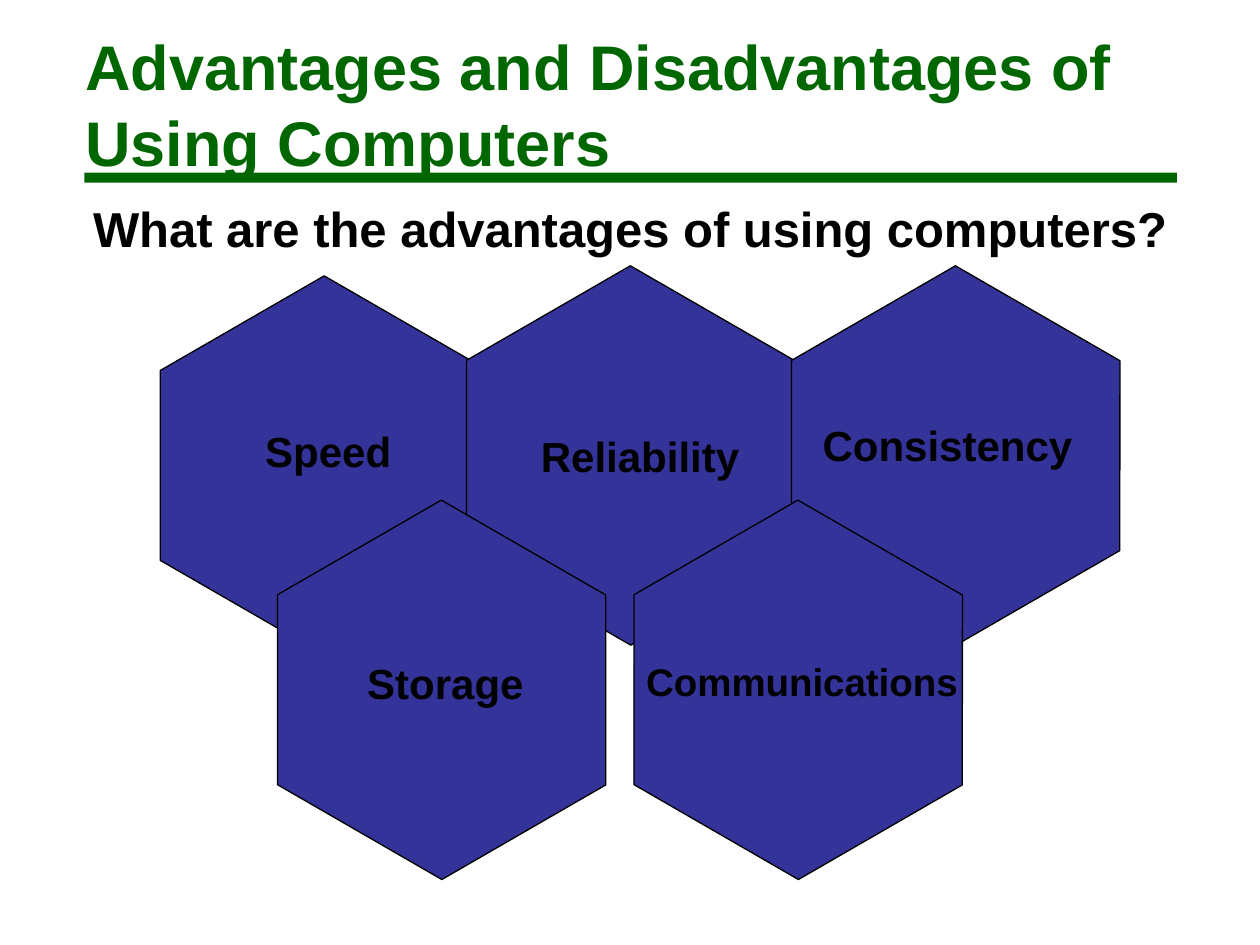
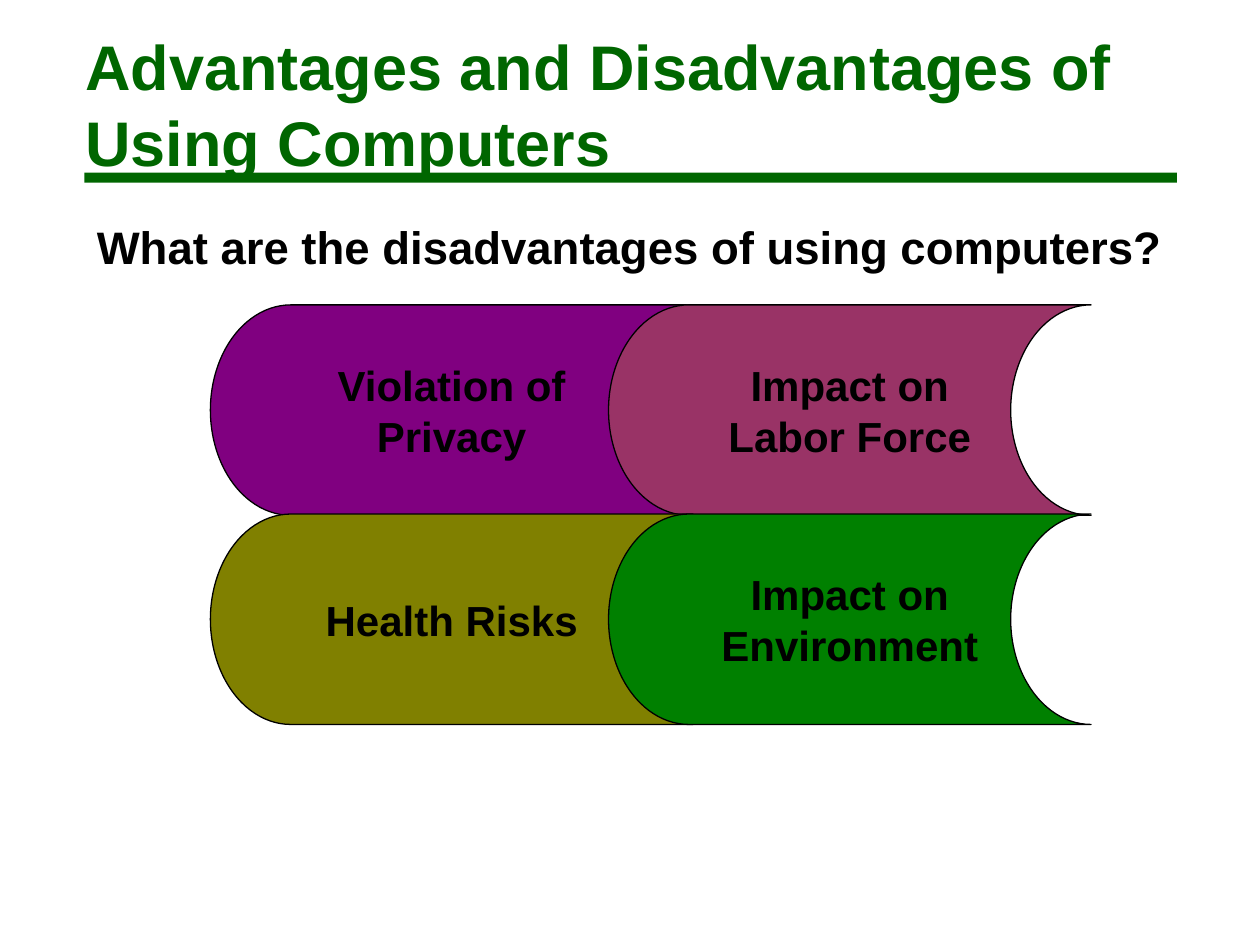
from dataclasses import dataclass

import pptx
import pptx.dml.color
import pptx.enum.shapes
import pptx.enum.text
import pptx.presentation
import pptx.shapes.autoshape
import pptx.slide
import pptx.text.text
import pptx.util
from pptx.dml.color import RGBColor
from pptx.enum.shapes import MSO_SHAPE
from pptx.enum.text import MSO_ANCHOR, PP_ALIGN
from pptx.util import Inches

GREEN = RGBColor(0x00, 0x66, 0x00)
BLACK = RGBColor(0x00, 0x00, 0x00)
INDIGO = RGBColor(0x33, 0x33, 0x99)
PURPLE = RGBColor(0x80, 0x00, 0x80)
PLUM = RGBColor(0x99, 0x33, 0x66)
OLIVE = RGBColor(0x80, 0x80, 0x00)
LEAF = RGBColor(0x00, 0x80, 0x00)

FONT = "Arial"
TITLE = "Advantages and Disadvantages of Using Computers"

HEXAGON_WIDTH, HEXAGON_HEIGHT = 3.01, 2.61
CARD_LEFT, CARD_TOP = 1.67, 2.42
CARD_WIDTH, CARD_HEIGHT = 3.83, 1.67
CARD_COLUMN_STEP, CARD_ROW_STEP = 3.16, 1.66


@dataclass(frozen=True)
class Box:
    left: float
    top: float
    width: float
    height: float

    def lengths(self) -> list[pptx.util.Length]:
        return [Inches(side) for side in (self.left, self.top, self.width, self.height)]


@dataclass(frozen=True)
class Advantage:
    text: str
    left: float
    top: float
    label: Box
    size: int = 24


@dataclass(frozen=True)
class Disadvantage:
    lines: tuple[str, ...]
    color: RGBColor


ADVANTAGES = (
    Advantage("Speed", 1.07, 2.39, Box(1.24, 3.33, 2.73, 0.5)),
    Advantage("Reliability", 3.5, 2.31, Box(3.67, 3.37, 2.82, 0.5)),
    Advantage("Consistency", 6.08, 2.31, Box(6.11, 3.28, 2.82, 0.5)),
    Advantage("Storage", 2, 4.17, Box(2.16, 5.17, 2.75, 0.5)),
    Advantage("Communications", 4.83, 4.17, Box(4.99, 5.17, 2.75, 0.47), 22),
)

DISADVANTAGES = (
    Disadvantage(("Violation of", "Privacy"), PURPLE),
    Disadvantage(("Impact on", "Labor Force"), PLUM),
    Disadvantage(("Health Risks",), OLIVE),
    Disadvantage(("Impact on", "Environment"), LEAF),
)


def write_lines(
    frame: pptx.text.text.TextFrame,
    lines: tuple[str, ...],
    size: int,
    color: RGBColor = BLACK,
    alignment: PP_ALIGN = PP_ALIGN.CENTER,
) -> None:
    """Write bold lines into one paragraph, with line breaks between them."""
    paragraph = frame.paragraphs[0]
    paragraph.alignment = alignment
    for index, line in enumerate(lines):
        if index:
            paragraph.add_line_break()
        run = paragraph.add_run()
        run.text = line
        run.font.name = FONT
        run.font.size = pptx.util.Pt(size)
        run.font.bold = True
        run.font.color.rgb = color


def add_text(
    shapes,
    box: Box,
    text: str,
    size: int,
    color: RGBColor = BLACK,
    alignment: PP_ALIGN = PP_ALIGN.LEFT,
) -> None:
    frame = shapes.add_textbox(*box.lengths()).text_frame
    frame.word_wrap = True
    write_lines(frame, (text,), size, color, alignment)


def add_filled_shape(
    shapes, kind: MSO_SHAPE, box: Box, color: RGBColor, outlined: bool = True
) -> pptx.shapes.autoshape.Shape:
    shape = shapes.add_shape(kind, *box.lengths())
    shape.shadow.inherit = False
    shape.fill.solid()
    shape.fill.fore_color.rgb = color
    if outlined:
        shape.line.color.rgb = BLACK
        shape.line.width = pptx.util.Pt(0.75)
    else:
        shape.line.fill.background()
    return shape


def add_titled_slide(
    presentation: pptx.presentation.Presentation,
    question: str,
    question_box: Box,
    question_size: int,
) -> pptx.slide.Slide:
    """Add a slide with the shared title and rule, and its own question."""
    slide = presentation.slides.add_slide(presentation.slide_layouts[6])
    rule = Box(0.67, 1.37, 8.67, 0.08)
    add_filled_shape(slide.shapes, MSO_SHAPE.RECTANGLE, rule, GREEN, outlined=False)
    add_text(slide.shapes, Box(0.58, 0.17, 8.75, 1.3), TITLE, 36, GREEN)
    add_text(slide.shapes, question_box, question, question_size)
    return slide


def add_advantage(slide: pptx.slide.Slide, advantage: Advantage) -> None:
    """Group a hexagon standing on its point with its label."""
    shapes = slide.shapes.add_group_shape().shapes
    box = Box(advantage.left, advantage.top, HEXAGON_WIDTH, HEXAGON_HEIGHT)
    hexagon = add_filled_shape(shapes, MSO_SHAPE.HEXAGON, box, INDIGO)
    hexagon.adjustments[0] = 0.289
    hexagon.rotation = 330
    add_text(
        shapes,
        advantage.label,
        advantage.text,
        advantage.size,
        alignment=PP_ALIGN.CENTER,
    )


def add_disadvantage(
    slide: pptx.slide.Slide, disadvantage: Disadvantage, row: int, column: int
) -> None:
    box = Box(
        CARD_LEFT + column * CARD_COLUMN_STEP,
        CARD_TOP + row * CARD_ROW_STEP,
        CARD_WIDTH,
        CARD_HEIGHT,
    )
    card = add_filled_shape(
        slide.shapes, MSO_SHAPE.FLOWCHART_STORED_DATA, box, disadvantage.color
    )
    frame = card.text_frame
    frame.word_wrap = False
    frame.vertical_anchor = MSO_ANCHOR.MIDDLE
    write_lines(frame, disadvantage.lines, 24)


def main() -> None:
    presentation = pptx.Presentation()
    presentation.slide_width = Inches(10)
    presentation.slide_height = Inches(7.5)

    advantages_slide = add_titled_slide(
        presentation,
        "What are the advantages of using computers?",
        Box(0.64, 1.53, 9.28, 0.72),
        28,
    )
    for advantage in ADVANTAGES:
        add_advantage(advantages_slide, advantage)

    disadvantages_slide = add_titled_slide(
        presentation,
        "What are the disadvantages of using computers?",
        Box(0.67, 1.69, 9.17, 0.72),
        26,
    )
    for index, disadvantage in enumerate(DISADVANTAGES):
        row, column = divmod(index, 2)
        add_disadvantage(disadvantages_slide, disadvantage, row, column)

    presentation.save("out.pptx")


if __name__ == "__main__":
    main()
